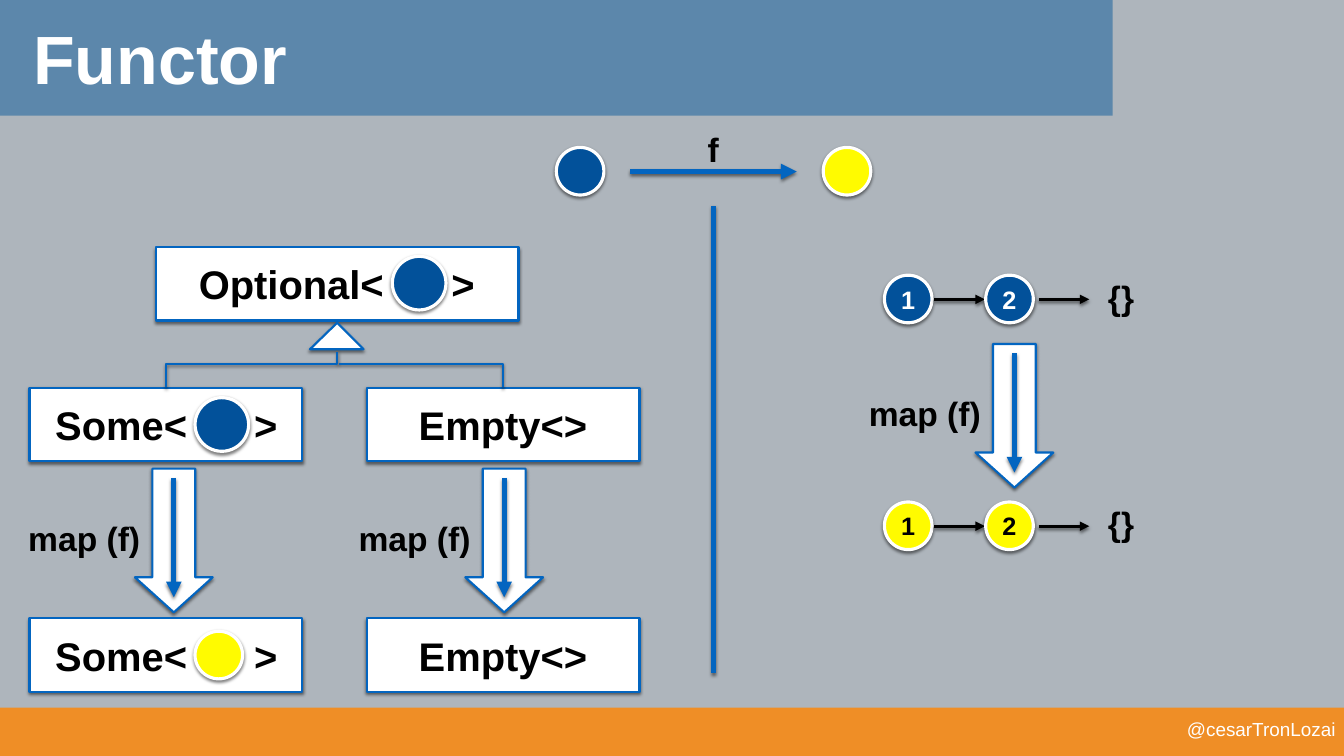
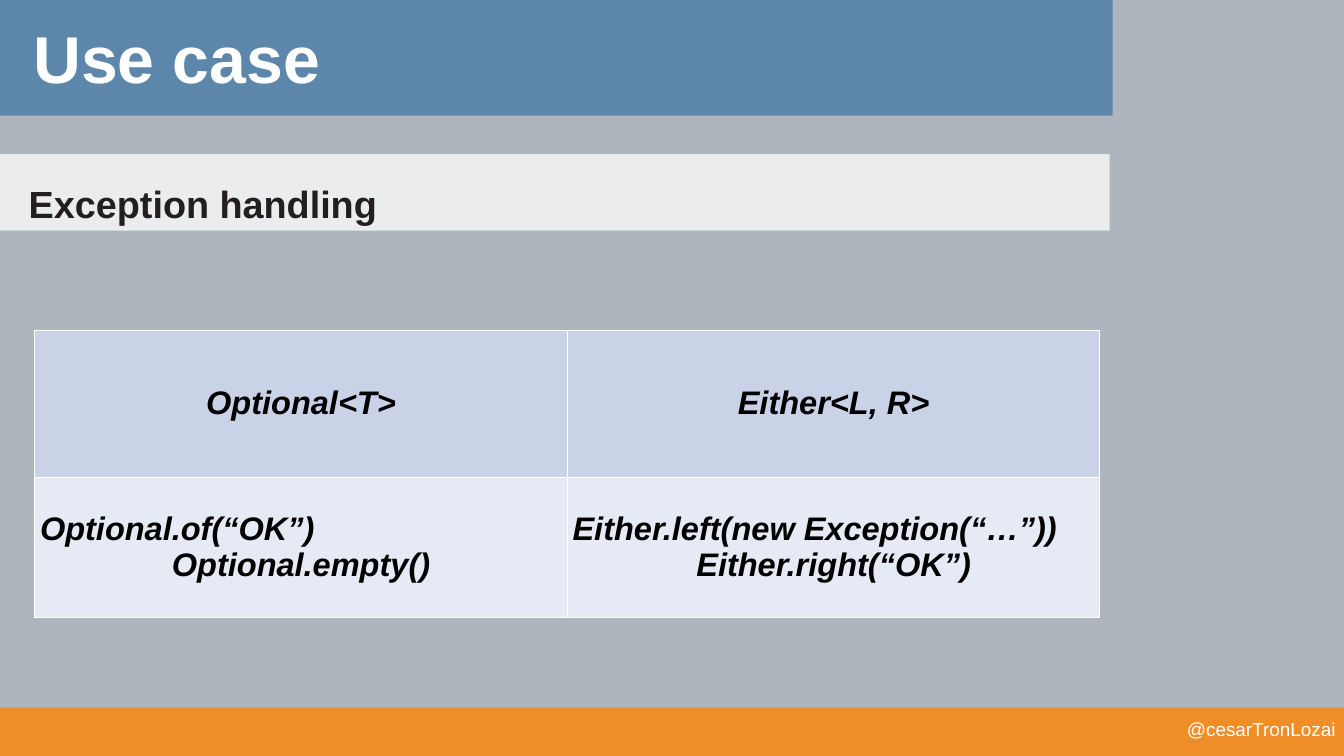
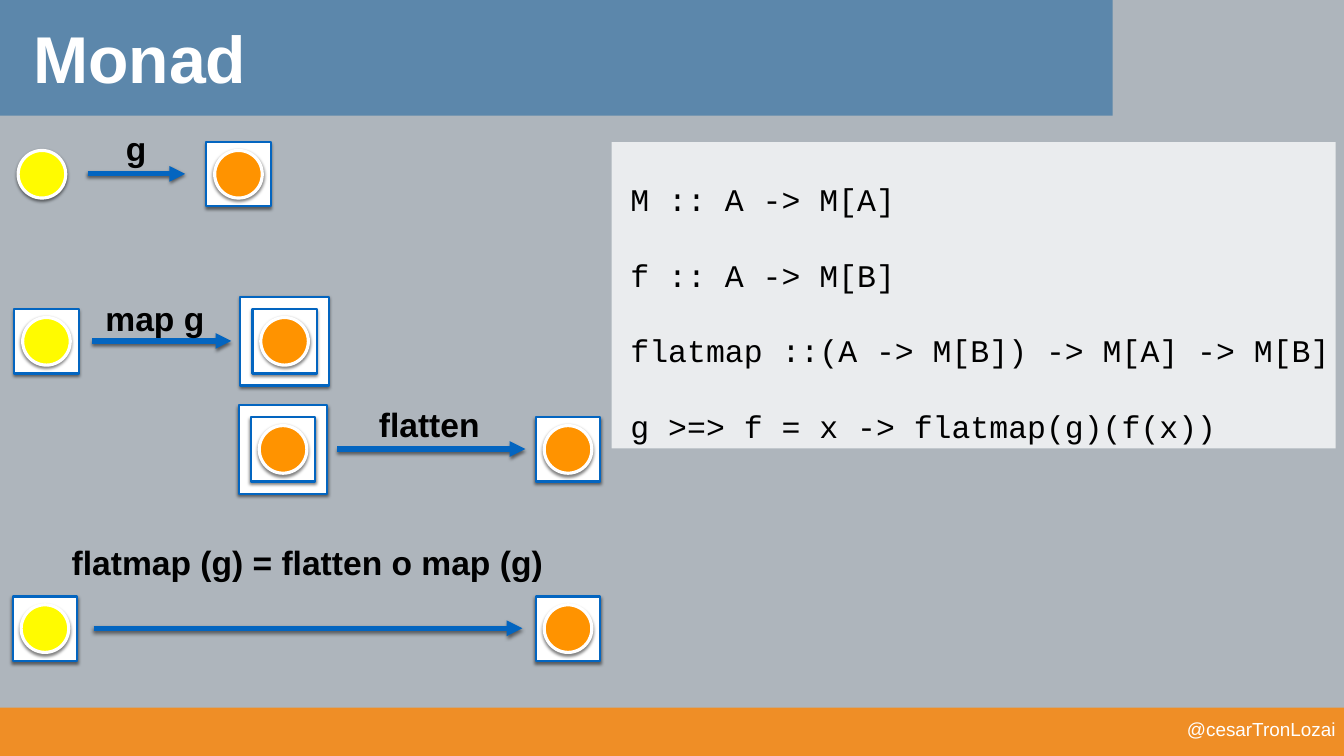
from lxml import etree
from pptx import Presentation
from pptx import util as u
from pptx.dml.color import RGBColor
from pptx.enum import shapes, text
from pptx.oxml import parse_xml
from pptx.oxml.ns import nsdecls, qn

rgb = RGBColor.from_string
BLUE, NAVY, YELLOW, ORANGE = "0365C0", "02519A", "FFFB00", "FF9300"
WHITE, BLACK = "FFFFFF", "000000"
BOX, DISC = shapes.MSO_SHAPE.RECTANGLE, shapes.MSO_SHAPE.OVAL
MID, LEFT = text.PP_ALIGN.CENTER, text.PP_ALIGN.LEFT
SHADE = (
    f'<a:effectLst {nsdecls("a")}><a:outerShdw blurRad="38100" dist="25400" '
    'dir="5400000" rotWithShape="0"><a:srgbClr val="000000">'
    '<a:alpha val="50000"/></a:srgbClr></a:outerShdw></a:effectLst>'
)
cell = u.Inches(0.1)
wide, high = 177.8, 100


def draw(page, kind, x, y, w, h, fill=None, edge=None, thick=2,
         words="", size=32, ink=BLACK, bold=True, align=MID):
    area = [round(n * cell) for n in (x, y, w, h)]
    if kind is None:
        item = page.shapes.add_textbox(*area)
    else:
        item = page.shapes.add_shape(kind, *area)
        item.fill.solid()
        item.fill.fore_color.rgb = rgb(fill)
        item.shadow.inherit = False
        if edge:
            item.line.color.rgb = rgb(edge)
            item.line.width = u.Pt(thick)
            item.element.spPr.remove(item.element.spPr.find(qn("a:effectLst")))
            item.element.spPr.append(parse_xml(SHADE))
        else:
            item.line.fill.background()
    if words:
        frame = item.text_frame
        frame.text = words
        frame.word_wrap = kind is not None
        frame.vertical_anchor = text.MSO_ANCHOR.MIDDLE
        frame.margin_left = frame.margin_right = 0
        frame.margin_top = frame.margin_bottom = 0
        for para in frame.paragraphs:
            para.alignment = align
            for run in para.runs:
                run.font.name, run.font.size = "Arial", u.Pt(size)
                run.font.bold, run.font.color.rgb = bold, rgb(ink)
    return item


def link(page, x1, y1, x2, y2, color=BLUE, thick=5, head=True):
    ends = [round(n * cell) for n in (x1, y1, x2, y2)]
    wire = page.shapes.add_connector(shapes.MSO_CONNECTOR.STRAIGHT, *ends)
    wire.line.color.rgb = rgb(color)
    wire.line.width = u.Pt(thick)
    if head:
        etree.SubElement(wire.line._get_or_add_ln(), qn("a:tailEnd"), type="triangle")
    wire.element.spPr.append(parse_xml(SHADE))


deck = Presentation()
deck.slide_width, deck.slide_height = round(wide * cell), high * cell
back = deck.slide_master.background.fill
back.solid()
back.fore_color.rgb = rgb("AEB5BC")

plan = deck.slide_layouts[5]
for spare in list(plan.placeholders)[1:]:
    spare.element.getparent().remove(spare.element)

pages = []
for name, size in (("Functor", 65), ("Use case", 63), ("Monad", 63)):
    page = deck.slides.add_slide(plan)
    head = page.shapes.title
    head.left, head.top, head.width, head.height = [
        round(n * cell) for n in (3.9, -3.4, 160, 22)]
    frame = head.text_frame
    frame.text = name
    frame.auto_size = text.MSO_AUTO_SIZE.NONE
    frame.vertical_anchor = text.MSO_ANCHOR.MIDDLE
    frame.margin_left = frame.margin_right = u.Inches(0.05)
    para = frame.paragraphs[0]
    para.alignment = LEFT
    font = para.runs[0].font
    font.name, font.size, font.bold = "Arial", u.Pt(size), True
    font.color.rgb = rgb(WHITE)
    pages.append(page)
functor, usage, monad = pages

bands = [
    draw(functor, BOX, 0, -0.2, 147.2, 15.5, "5C87AB"),
    draw(functor, BOX, 0, 93.6, 178.3, 6.8, "EF8E26"),
    draw(functor, None, 99.1, 95, 77.6, 2.8, words="@cesarTronLozai",
         size=18, ink=WHITE, bold=False, align=text.PP_ALIGN.RIGHT),
]
for band in bands:
    plan.shapes.element.append(band.element)

dot = 6.3
draw(functor, DISC, 73.6, 19.5, dot, dot, NAVY, WHITE, 3)
draw(functor, DISC, 108.9, 19.5, dot, dot, YELLOW, WHITE, 3)
link(functor, 83.4, 22.7, 105.4, 22.7)
draw(functor, None, 93, 16.7, 2.7, 6.1, words="f")
link(functor, 94.4, 89, 94.4, 27.2, thick=4, head=False)

for y, fill, ink in ((36.4, NAVY, WHITE), (66.4, YELLOW, BLACK)):
    for num, x in enumerate((117, 130.4)):
        draw(functor, DISC, x, y, dot, dot, fill, WHITE, 3, str(num + 1), 24, ink)
        start = x + 6.6 + 0.4 * num
        link(functor, start, y + 3.2, start + 6.7, y + 3.2, BLACK, 3)
    draw(functor, None, 144.9, y - 0.2, 6.8, 6.1, words="{}")

for x, y in ((23, 62), (66.7, 62), (134.2, 45.5)):
    arrow = draw(functor, shapes.MSO_SHAPE.DOWN_ARROW, x - 5.15, y, 10.3, 19, WHITE, BLUE)
    arrow.adjustments[0], arrow.adjustments[1] = 0.55, 0.45
    link(functor, x, y + 1.2, x, y + 17)
    draw(functor, None, x - 19.9, y + 6.1, 16.1, 6.1, words="map (f)")

for y in (51.3, 81.8):
    draw(functor, BOX, 48.5, y, 36.1, 9.7, WHITE, BLUE, words="Empty<>", size=38)
for x, y, w, words, pad, stop, gap, down, size, fill in (
    (20.6, 32.7, 48, "Optional<\t>", 5.7, 33.4, 31.3, 1.2, 7.1, NAVY),
    (3.9, 51.3, 36.1, "Some<\t>", 3.4, 26.3, 21.9, 1.3, 7.1, NAVY),
    (3.9, 81.8, 36.1, "Some<\t>", 3.4, 26.3, 21.9, 1.7, dot, YELLOW),
):
    item = draw(functor, BOX, x, y, w, 9.7, WHITE, BLUE, words=words, size=38, align=LEFT)
    item.text_frame.margin_left = round(pad * cell)
    tabs = etree.SubElement(item.text_frame.paragraphs[0]._p.get_or_add_pPr(), qn("a:tabLst"))
    etree.SubElement(tabs, qn("a:tab"), pos=str(round(stop * cell)), algn="l")
    draw(functor, DISC, x + gap, y + down, size, size, fill, WHITE, 3)

for spots, shut in (
    ([(48.1, 46.2), (44.6, 42.7), (41, 46.2)], True),
    ([(22, 51.2), (22, 48.1), (44.6, 48.1), (44.6, 46.5)], False),
    ([(44.8, 48.1), (66.5, 48.1), (66.5, 51.2)], False),
):
    spots = [(x * cell, y * cell) for x, y in spots]
    pen = functor.shapes.build_freeform(*spots[0])
    pen.add_line_segments(spots[1:], close=shut)
    tree = pen.convert_to_shape()
    if shut:
        tree.fill.solid()
        tree.fill.fore_color.rgb = rgb(WHITE)
    else:
        tree.fill.background()
    tree.line.color.rgb = rgb(BLUE)
    tree.line.width = u.Pt(2)
    tree.element.spPr.append(parse_xml(SHADE))

strip = draw(usage, BOX, -0.4, 20.4, 147.2, 10.1, WHITE, words="Exception handling",
             size=36, ink="231F21", align=LEFT)
strip.text_frame.margin_left = round(4.2 * cell)
strip.text_frame.paragraphs[0].line_spacing = 1.5

rows = (
    ("Optional<T>", "Either<L, R>"),
    ("Optional.of(“OK”)\nOptional.empty()",
     "Either.left(new Exception(“…”))\nEither.right(“OK”)"),
)
grid = usage.shapes.add_table(2, 2, *[round(n * cell) for n in (4.6, 43.7, 140.9, 38)]).table
for row, tall, fill, line in zip(grid.rows, (19.4, 18.6), ("CAD2E8", "E6EAF4"), rows):
    row.height = round(tall * cell)
    for slot, words in zip(row.cells, line):
        slot.text = words
        slot.vertical_anchor = text.MSO_ANCHOR.MIDDLE
        slot.margin_left = slot.margin_right = u.Inches(0.07)
        paras = slot.text_frame.paragraphs
        for para in paras:
            para.alignment = LEFT if para is not paras[-1] else MID
            font = para.runs[0].font
            font.name, font.size = "Arial", u.Pt(31)
            font.bold = font.italic = True
            font.color.rgb = rgb(BLACK)
        for side in ("lnL", "lnR", "lnT", "lnB"):
            slot._tc.get_or_add_tcPr().append(parse_xml(
                f'<a:{side} {nsdecls("a")} w="12700"><a:solidFill>'
                f'<a:srgbClr val="{WHITE}"/></a:solidFill></a:{side}>'))
        slot.fill.solid()
        slot.fill.fore_color.rgb = rgb(fill)

code = draw(monad, BOX, 80.9, 18.8, 95.8, 40.5, WHITE, size=30, bold=False, align=LEFT,
            words="M :: A -> M[A]\nf :: A -> M[B]\n"
                  "flatmap ::(A -> M[B]) -> M[A] -> M[B]\n"
                  "g >=> f = x -> flatmap(g)(f(x))")
code.text_frame.vertical_anchor = text.MSO_ANCHOR.TOP
code.text_frame.margin_left = round(2.5 * cell)
code.text_frame.margin_top = round(5 * cell)
for num, para in enumerate(code.text_frame.paragraphs):
    para.runs[0].font.name = "Courier New"
    if num:
        para.space_before = u.Pt(36)

for pane in (strip, code):
    tint = pane.element.spPr.find(qn("a:solidFill"))[0]
    etree.SubElement(tint, qn("a:alpha"), val="75000")

for y, near, far, x1, x2, words, mid, span, lift in (
    (18.8, (1.3, 0, YELLOW), (27.3, 1, ORANGE), 11.6, 24.5, "g", 18, 4, 2.2),
    (40.9, (1.9, 1, YELLOW), (33.4, 2, ORANGE), 12.2, 30.6, "map g", 20.5, 14.3, 1.9),
    (55.2, (33.2, 2, ORANGE), (70.9, 1, ORANGE), 44.6, 69.5, "flatten", 56.8, 14.6, 2.1),
    (78.9, (1.7, 1, YELLOW), (70.9, 1, ORANGE), 12.4, 69.1,
     "flatmap (g) = flatten o map (g)", 40.7, 63.6, 7.6),
):
    for x, depth, fill in (near, far):
        for ring in reversed(range(depth)):
            side = 8.5 + 3.2 * ring
            draw(monad, BOX, x - 1.6 * ring, y - 1.6 * ring, side, side, WHITE, BLUE)
        draw(monad, DISC, x + 1.1, y + 1.1, dot, dot, fill, WHITE, 3)
    link(monad, x1, y + 4.2, x2, y + 4.2)
    draw(monad, None, mid - span / 2, y - lift, span, 6.1, words=words)

deck.save("out.pptx")
